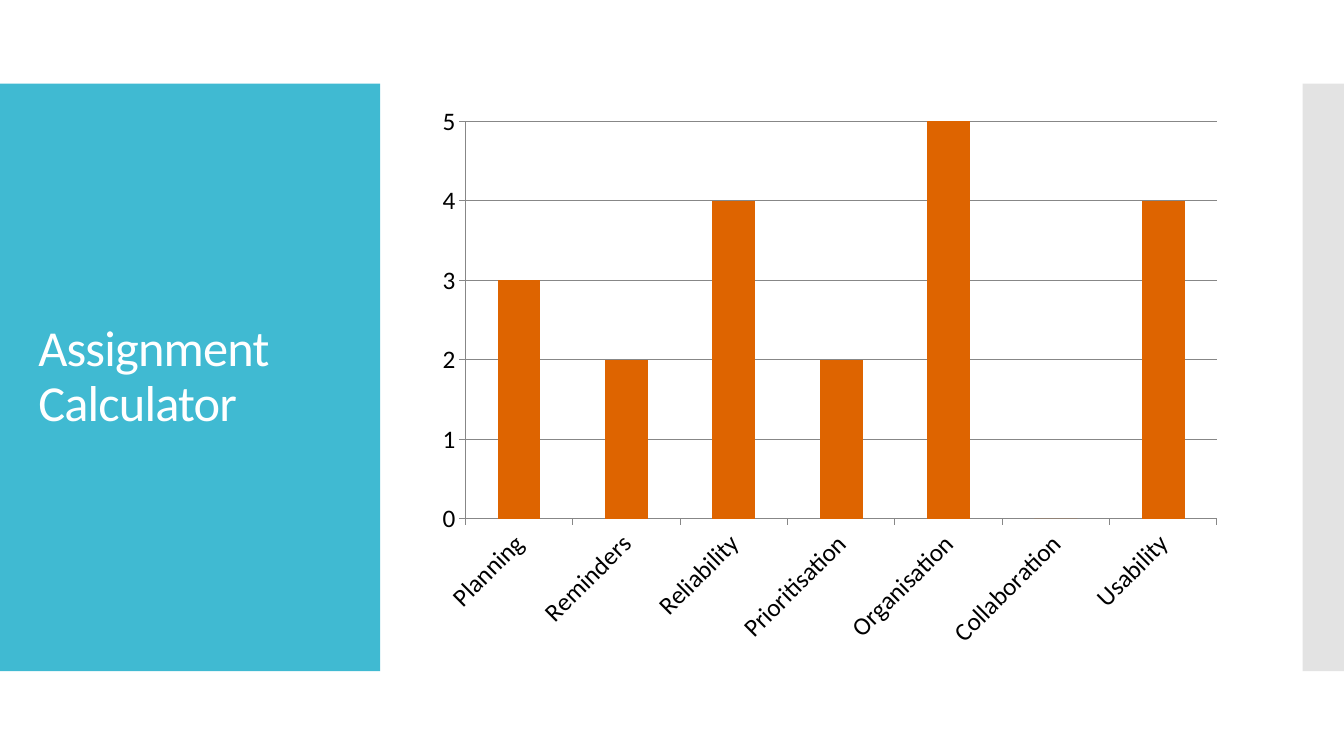
from pptx import Presentation
from pptx.chart.data import CategoryChartData
from pptx.dml.color import RGBColor
from pptx.enum.chart import XL_CHART_TYPE, XL_TICK_MARK
from pptx.enum.shapes import MSO_SHAPE
from pptx.enum.text import MSO_ANCHOR, MSO_AUTO_SIZE, PP_ALIGN
from pptx.oxml import parse_xml
from pptx.oxml.ns import nsdecls
from pptx.util import Inches, Pt


def rgb(color):
    return RGBColor.from_string(color)


def write(tf, text, size, color, font="Calibri", line_spacing=1.0, tracking=0):
    p = tf.paragraphs[0]
    p.alignment = PP_ALIGN.LEFT
    p.line_spacing = line_spacing
    r = p.add_run()
    r.text = text
    r.font.size = Pt(size)
    r.font.name = font
    r.font.color.rgb = rgb(color)
    r.font._element.set("spc", str(tracking))


prs = Presentation()
prs.slide_width, prs.slide_height = Inches(13.33), Inches(7.5)
s = prs.slides.add_slide(prs.slide_layouts[5])

# Side panels, placed behind the title
panels = [(0, 3.77, "40BAD2", None), (12.92, 0.41, "C8C8C8", 50000)]
for i, (left, width, color, alpha) in enumerate(panels):
    sp = s.shapes.add_shape(MSO_SHAPE.RECTANGLE, Inches(left), Inches(0.83),
                            Inches(width), Inches(5.83))
    sp.shadow.inherit = False
    sp.fill.solid()
    sp.fill.fore_color.rgb = rgb(color)
    sp.line.fill.background()
    if alpha:
        srgb = sp.fill._xPr.find(".//{*}srgbClr")
        srgb.append(parse_xml(f'<a:alpha {nsdecls("a")} val="{alpha}"/>'))
    s.shapes._spTree.insert(2 + i, sp._element)

# Title
title = s.shapes.title
title.left, title.top = Inches(0.28), Inches(1.23)
title.width, title.height = Inches(3.22), Inches(5.03)
tf = title.text_frame
tf.word_wrap = True
tf.auto_size = MSO_AUTO_SIZE.NONE
tf.vertical_anchor = MSO_ANCHOR.MIDDLE
write(tf, "Assignment Calculator", 36, "FFFFFF", line_spacing=0.9, tracking=-60)

# Score chart
data = CategoryChartData()
data.categories = ["Planning", "Reminders", "Reliability", "Prioritisation",
                   "Organisation", "Collaboration", "Usability"]
data.add_series("Series 1", [3, 2, 4, 2, 5, 0, 4])
chart = s.shapes.add_chart(XL_CHART_TYPE.COLUMN_CLUSTERED, Inches(4.23), Inches(0.94),
                           Inches(8), Inches(5.6), data).chart
chart.has_legend = False
chart.has_title = False
chart.font.size = Pt(18)
chart.font.name = "Calibri"
chart.font.color.rgb = rgb("000000")

plot = chart.plots[0]
plot.gap_width = 150
plot.vary_by_categories = False
bars = plot.series[0].format.fill
bars.solid()
bars.fore_color.rgb = rgb("DE6400")

# Axes
cat_axis, val_axis = chart.category_axis, chart.value_axis
for axis in (cat_axis, val_axis):
    axis.major_tick_mark = XL_TICK_MARK.OUTSIDE
    axis.minor_tick_mark = XL_TICK_MARK.NONE
    axis.format.line.color.rgb = rgb("878787")
    axis.format.line.width = Pt(0.75)
    axis.tick_labels.font.size = Pt(18)
cat_axis._element.find(".//{*}bodyPr").set("rot", "-2700000")
val_axis.minimum_scale, val_axis.maximum_scale, val_axis.major_unit = 0, 5, 1
val_axis.has_major_gridlines = True
val_axis.major_gridlines.format.line.color.rgb = rgb("878787")
val_axis.major_gridlines.format.line.width = Pt(0.75)

prs.save("out.pptx")
